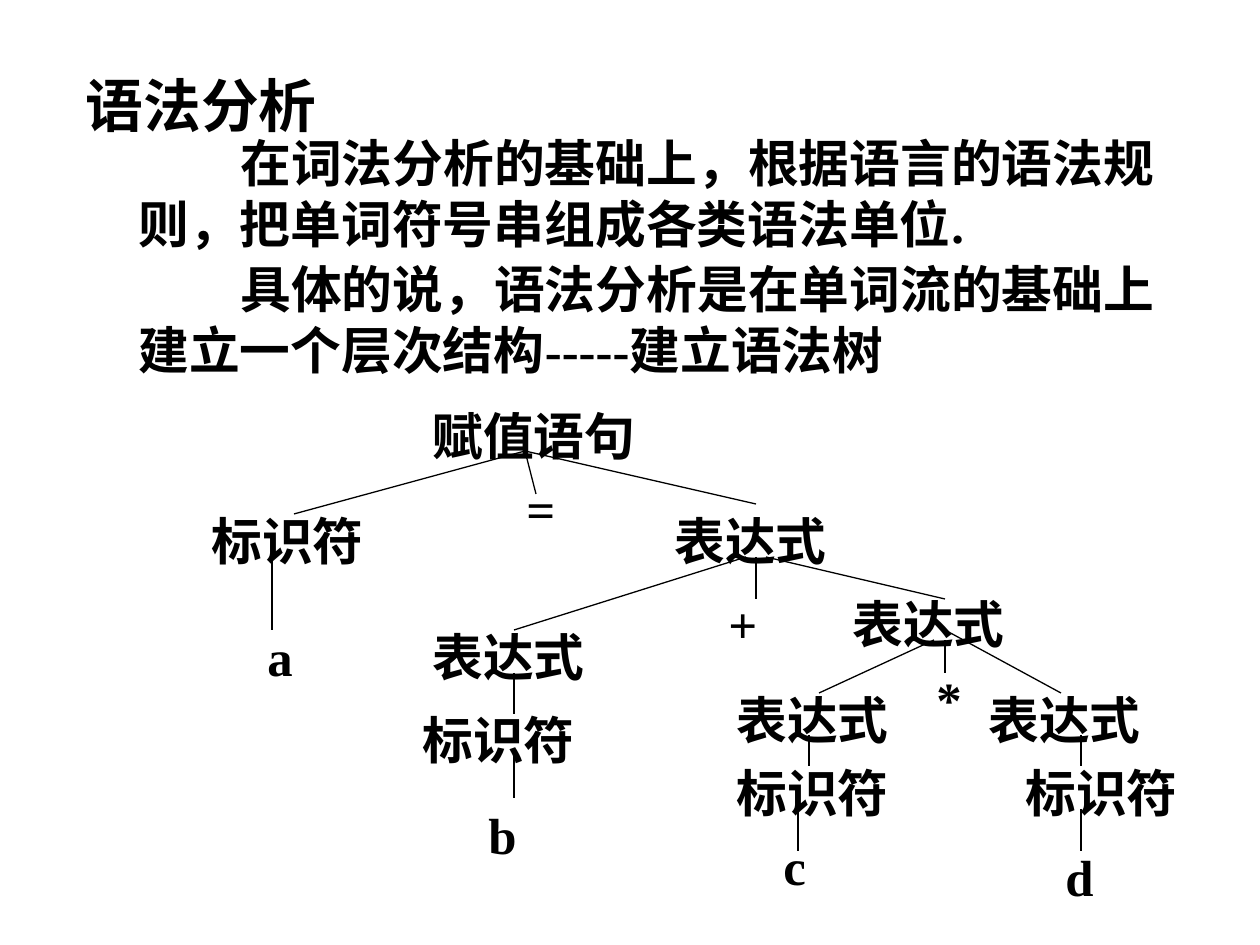
from typing import NamedTuple

from lxml import etree
from pptx import Presentation
from pptx.dml.color import RGBColor
from pptx.enum.shapes import MSO_CONNECTOR
from pptx.enum.text import MSO_ANCHOR, MSO_AUTO_SIZE, PP_ALIGN
from pptx.oxml.ns import qn
from pptx.util import Emu, Pt

STRAIGHT = MSO_CONNECTOR.STRAIGHT
TOP = MSO_ANCHOR.TOP
LEFT = PP_ALIGN.LEFT
FIT_SHAPE = MSO_AUTO_SIZE.SHAPE_TO_FIT_TEXT

PX_PER_INCH = 126
FONT = "Times New Roman"
BLACK = "000000"
TITLE_SIZE = 33
TEXT_SIZE = 29
NODE_HEIGHT = 74
BODY_HEIGHT = 135
BODY_INDENT = 102


class Label(NamedTuple):
    text: str
    left: int
    top: int
    width: int
    height: int = NODE_HEIGHT
    indent: int = 0


class Branch(NamedTuple):
    start_x: int
    start_y: int
    end_x: int
    end_y: int


TITLE = Label("语法分析", 73, 63, 557, 83)

BODY = [
    Label("在词法分析的基础上，根据语言的语法规则，把单词符号串组成各类语法单位.",
          126, 126, 1071, BODY_HEIGHT, BODY_INDENT),
    Label("具体的说，语法分析是在单词流的基础上建立一个层次结构-----建立语法树",
          126, 252, 1061, BODY_HEIGHT, BODY_INDENT),
]

TREE_NODES = [
    Label("赋值语句", 420, 399, 252),
    Label("标识符", 199, 504, 220),
    Label("=", 514, 472, 94),
    Label("表达式", 662, 504, 220),
    Label("a", 179, 620, 209, indent=76),
    Label("表达式", 420, 620, 210),
    Label("标识符", 410, 703, 220),
    Label("b", 451, 798, 210, indent=25),
    Label("+", 703, 587, 106, indent=13),
    Label("表达式", 840, 587, 220),
    Label("表达式", 724, 683, 209),
    Label("*", 924, 662, 84),
    Label("标识符", 724, 756, 220),
    Label("c", 746, 829, 168, indent=25),
    Label("表达式", 976, 683, 210),
    Label("标识符", 988, 756, 220, indent=25),
    Label("d", 1040, 840, 126, indent=13),
]

BRANCHES = [
    Branch(525, 451, 294, 514),
    Branch(525, 451, 536, 494),
    Branch(525, 451, 756, 504),
    Branch(272, 557, 272, 630),
    Branch(746, 557, 514, 630),
    Branch(756, 557, 756, 599),
    Branch(766, 557, 945, 599),
    Branch(514, 673, 514, 714),
    Branch(514, 756, 514, 798),
    Branch(934, 640, 819, 693),
    Branch(945, 640, 945, 673),
    Branch(945, 630, 1061, 693),
    Branch(809, 735, 809, 766),
    Branch(798, 809, 798, 851),
    Branch(1081, 735, 1081, 766),
    Branch(1081, 809, 1081, 851),
]


def px(length: int) -> Emu:
    return Emu(round(length * 914400 / PX_PER_INCH))


def color(value: str) -> RGBColor:
    return RGBColor.from_string(value)


def fill_label(shape, label: Label, size: int) -> None:
    """Place a text shape and write its label in the slide's bold type."""
    shape.left, shape.top = px(label.left), px(label.top)
    shape.width, shape.height = px(label.width), px(label.height)
    text_frame = shape.text_frame
    text_frame.text = label.text
    text_frame.word_wrap = True
    text_frame.auto_size = FIT_SHAPE
    text_frame.vertical_anchor = TOP
    paragraph = text_frame.paragraphs[0]
    paragraph.alignment = LEFT
    if label.indent:
        properties = paragraph._p.get_or_add_pPr()
        properties.set("marL", "0")
        properties.set("indent", str(px(label.indent)))
    font = paragraph.runs[0].font
    font.name = FONT
    font.size = Pt(size)
    font.bold = True
    font.color.rgb = color(BLACK)


def add_label(slide, label: Label) -> None:
    shape = slide.shapes.add_textbox(0, 0, px(label.width), px(label.height))
    fill_label(shape, label, TEXT_SIZE)


def add_branch(slide, branch: Branch) -> None:
    connector = slide.shapes.add_connector(STRAIGHT, *map(px, branch))
    connector.line.color.rgb = color(BLACK)
    connector.line.width = Pt(0.75)
    etree.SubElement(connector._element.spPr, qn("a:effectLst"))


def main() -> None:
    presentation = Presentation()
    presentation.slide_width = px(10 * PX_PER_INCH)
    presentation.slide_height = px(945)
    slide = presentation.slides.add_slide(presentation.slide_layouts[5])
    fill_label(slide.shapes.title, TITLE, TITLE_SIZE)
    for label in BODY + TREE_NODES:
        add_label(slide, label)
    for branch in BRANCHES:
        add_branch(slide, branch)
    presentation.save("out.pptx")


if __name__ == "__main__":
    main()
